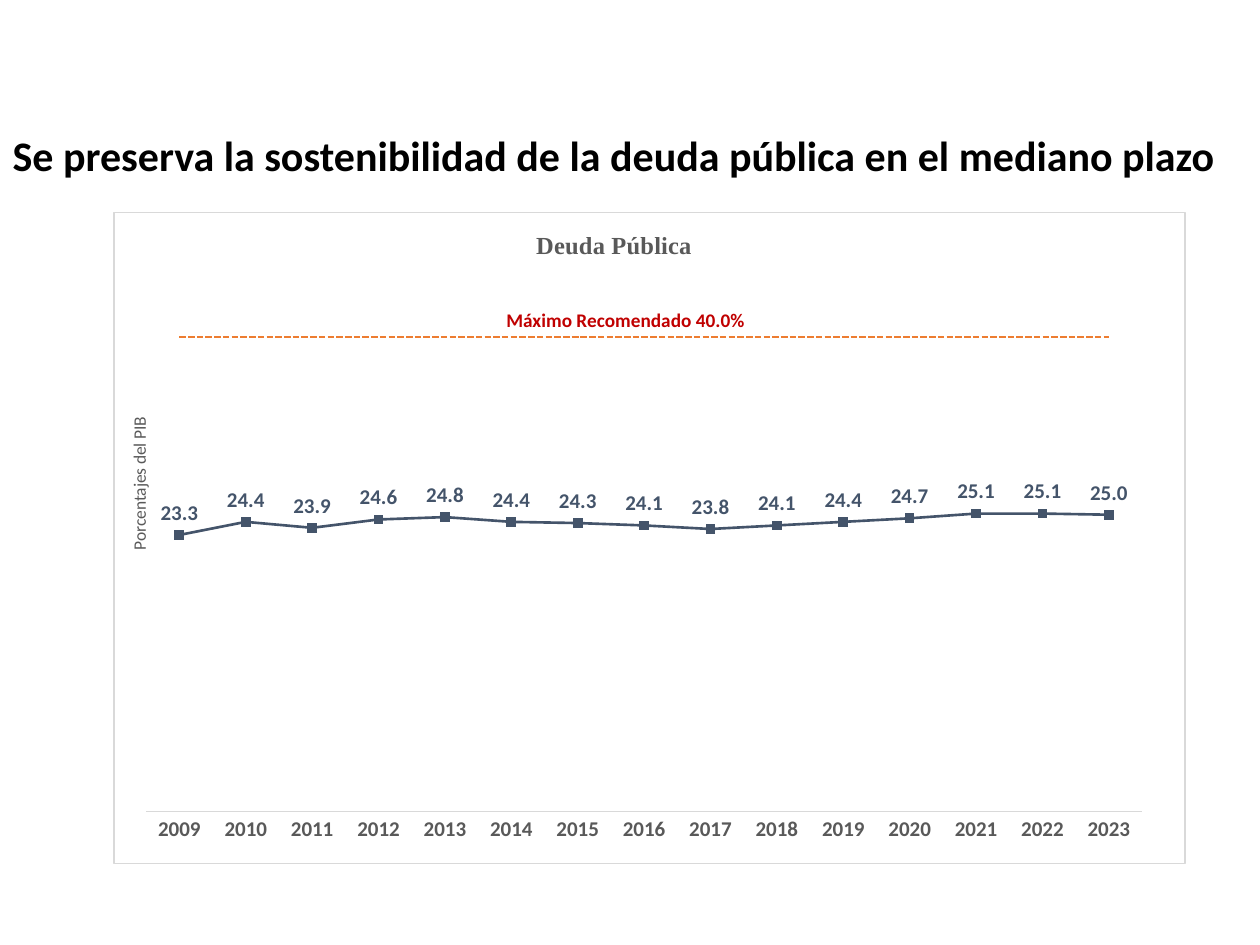
"""Build a slide with a line chart of public debt against its recommended maximum."""
from lxml import etree
from pptx import Presentation, util as u
from pptx.chart.data import CategoryChartData
from pptx.dml.color import RGBColor
from pptx.enum import chart as ch, dml, text
from pptx.oxml import parse_xml
from pptx.oxml.ns import nsdecls, qn

HEADLINE = "Se preserva la sostenibilidad de la deuda pública en el mediano plazo"
CHART_TITLE = "Deuda Pública"
AXIS_TITLE = "Porcentajes del PIB"
LIMIT_LABEL = "Máximo Recomendado 40.0%"
LIMIT = 40
YEARS = range(2009, 2024)
DEBT = [23.3, 24.4, 23.9, 24.6, 24.8, 24.4, 24.3, 24.1, 23.8, 24.1, 24.4, 24.7, 25.1, 25.1, 25.0]

THEME = dict(
    black="000000", white="FFFFFF", grey="595959", rule="D9D9D9",
    debt="44546A", limit="ED7D31", alert="C00000",
    body="Calibri", serif="Times New Roman",
    headline=24, title=14, label=12, note=11, axis=10,
)


def color(name):
    return RGBColor.from_string(THEME[name])


def style(font, size, tint, bold=False, face="body"):
    font.name, font.size, font.bold = THEME[face], u.Pt(THEME[size]), bold
    font.color.rgb = color(tint)


def write(frame, words, **look):
    paragraph = frame.paragraphs[0]
    paragraph.alignment = text.PP_ALIGN.LEFT
    run = paragraph.add_run()
    run.text = words
    style(run.font, **look)


def place(parent, x, y, w=None, h=None):
    """Give a chart part a manual layout in fractions of the chart."""
    for old in parent.findall(qn("c:layout")):
        parent.remove(old)
    layout = etree.Element(qn("c:layout"))
    manual = etree.SubElement(layout, qn("c:manualLayout"))
    settings = [("layoutTarget", "inner")] if w else []
    settings += [("xMode", "edge"), ("yMode", "edge"), ("x", x), ("y", y)]
    settings += [("w", w), ("h", h)] if w else []
    for tag, value in settings:
        etree.SubElement(manual, qn(f"c:{tag}")).set("val", str(value))
    words = parent.find(qn("c:tx"))
    parent.insert(0 if words is None else parent.index(words) + 1, layout)


def frame_chart(chart):
    space = chart._chartSpace
    space.find(qn("c:chart")).addnext(parse_xml(
        f'<c:spPr {nsdecls("c", "a")}>'
        f'<a:solidFill><a:srgbClr val="{THEME["white"]}"/></a:solidFill>'
        f'<a:ln w="9525"><a:solidFill><a:srgbClr val="{THEME["rule"]}"/></a:solidFill></a:ln>'
        '</c:spPr>'))
    corners = parse_xml(f'<c:roundedCorners {nsdecls("c")} val="0"/>')
    space.find(qn("c:date1904")).addnext(corners)


def draw_line(series, tint, width):
    series.smooth = False
    series.format.line.color.rgb = color(tint)
    series.format.line.width = u.Pt(width)


def add_debt_chart(slide):
    data = CategoryChartData(number_format="0.0")
    data.categories = [str(year) for year in YEARS]
    data.add_series("Deuda Pública", DEBT)
    data.add_series("Máximo Recomendado", [LIMIT] * len(YEARS))
    chart = slide.shapes.add_chart(
        ch.XL_CHART_TYPE.LINE_MARKERS, u.Inches(0.9), u.Inches(1.68),
        u.Inches(8.51), u.Inches(5.18), data).chart
    style(chart.font, "axis", "black")
    chart.has_legend = False
    frame_chart(chart)

    write(chart.chart_title.text_frame, CHART_TITLE, size="title", tint="grey", bold=True, face="serif")
    place(chart.chart_title._element, 0.39, 0.02)

    years = chart.category_axis
    years.major_tick_mark = ch.XL_TICK_MARK.NONE
    years.format.line.color.rgb = color("rule")
    years.format.line.width = u.Pt(0.75)
    style(years.tick_labels.font, "label", "grey", bold=True)

    share = chart.value_axis
    share.minimum_scale, share.maximum_scale = 0, 45
    share.has_major_gridlines = False
    share.visible = False
    axis_frame = share.axis_title.text_frame
    write(axis_frame, AXIS_TITLE, size="axis", tint="grey")
    body = axis_frame._txBody.bodyPr
    body.set("rot", "-5400000")
    body.set("vert", "horz")
    place(share.axis_title._element, 0.01, 0.31)

    plot = chart.plots[0]
    plot.vary_by_categories = False
    place(chart._chartSpace.chart.plotArea, 0.03, 0.1, 0.93, 0.82)

    debt, limit = plot.series
    draw_line(debt, "debt", 1.5)
    debt.marker.style = ch.XL_MARKER_STYLE.SQUARE
    debt.marker.size = 5
    debt.marker.format.fill.solid()
    debt.marker.format.fill.fore_color.rgb = color("debt")
    debt.marker.format.line.color.rgb = color("debt")
    labels = debt.data_labels
    labels.show_value = True
    labels.number_format, labels.number_format_is_linked = "0.0", False
    labels.position = ch.XL_LABEL_POSITION.ABOVE
    style(labels.font, "label", "debt", bold=True)

    draw_line(limit, "limit", 1.25)
    limit.format.line.dash_style = dml.MSO_LINE.SQUARE_DOT
    limit.marker.style = ch.XL_MARKER_STYLE.NONE


def main():
    deck = Presentation()
    deck.slide_width, deck.slide_height = u.Inches(10), u.Inches(7.5)
    slide = deck.slides.add_slide(deck.slide_layouts[5])

    headline = slide.shapes.title
    headline.left, headline.top = u.Inches(0), u.Inches(0.98)
    headline.width, headline.height = u.Inches(10), u.Inches(0.5)
    headline.fill.solid()
    headline.fill.fore_color.rgb = color("white")
    headline.text_frame.auto_size = text.MSO_AUTO_SIZE.NONE
    write(headline.text_frame, HEADLINE, size="headline", tint="black", bold=True)

    add_debt_chart(slide)

    limit_label = slide.shapes.add_textbox(u.Inches(3.92), u.Inches(2.4), u.Inches(2.17), u.Inches(0.25))
    limit_label.text_frame.word_wrap = True
    write(limit_label.text_frame, LIMIT_LABEL, size="note", tint="alert", bold=True)

    deck.save("out.pptx")


if __name__ == "__main__":
    main()
